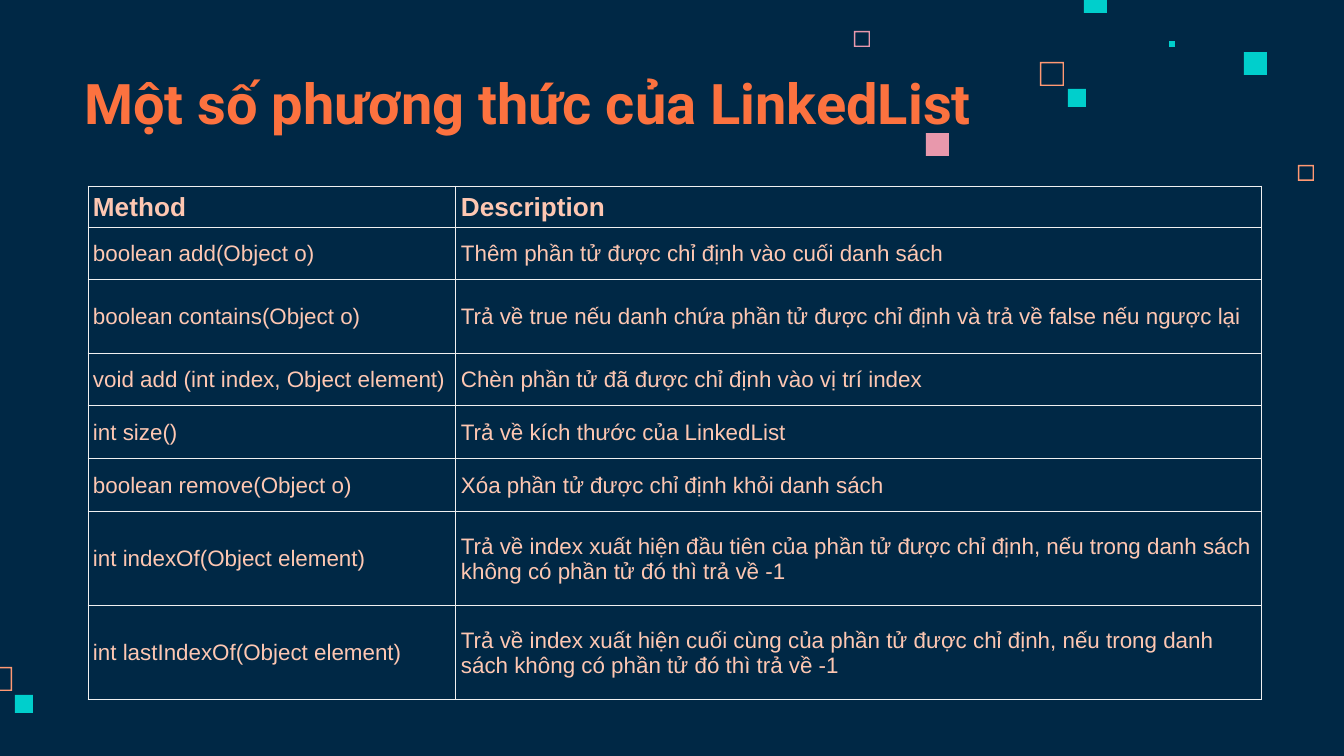
from lxml import etree
from pptx import Presentation
from pptx import util as u
from pptx.dml.color import RGBColor
from pptx.enum import shapes, text
from pptx.oxml.ns import qn

PX = u.Inches(10) / 1344


class Theme:
    navy = RGBColor.from_string("002845")
    orange = RGBColor.from_string("FC723F")
    peach = RGBColor.from_string("FEC7B2")
    apricot = RGBColor.from_string("FF9973")
    pink = RGBColor.from_string("E898AC")
    teal = RGBColor.from_string("00CFCC")
    grid = "F0F0F0"
    grid_width = u.Pt(0.6)
    title_font, body_font = "Roboto", "Arial"
    title_size, head_size, body_size = u.Pt(30), u.Pt(14), u.Pt(12)


def px(*lengths):
    return [u.Emu(round(length * PX)) for length in lengths]


def write(paragraph, words, font, size, color, bold):
    run = paragraph.add_run()
    run.text = words
    run.font.name, run.font.size, run.font.bold = font, size, bold
    run.font.color.rgb = color


deck = Presentation()
deck.slide_width, deck.slide_height = px(1344, 756)
slide = deck.slides.add_slide(deck.slide_layouts[6])
slide.background.fill.solid()
slide.background.fill.fore_color.rgb = Theme.navy

# Scattered squares: left, top, side, colour, hollow
confetti = [
    (1298, 165, 16, Theme.apricot, True),
    (854, 31, 16, Theme.pink, True),
    (1040, 62, 24, Theme.apricot, True),
    (1169, 41, 6, Theme.teal, False),
    (1084, -10, 23, Theme.teal, False),
    (1244, 52, 23, Theme.teal, False),
    (1068, 89, 18, Theme.teal, False),
    (926, 133, 23, Theme.pink, False),
    (-12, 667, 24, Theme.apricot, True),
    (15, 695, 18, Theme.teal, False),
]
for left, top, side, color, hollow in confetti:
    preset = shapes.MSO_SHAPE.FRAME if hollow else shapes.MSO_SHAPE.RECTANGLE
    square = slide.shapes.add_shape(preset, *px(left, top, side, side))
    if hollow:
        square.adjustments[0] = 1.4 / side
    square.shadow.inherit = False
    square.fill.solid()
    square.fill.fore_color.rgb = color
    square.line.fill.background()

title = slide.shapes.add_textbox(*px(71, 54, 1184, 95)).text_frame
title.word_wrap = True
title.vertical_anchor = text.MSO_ANCHOR.BOTTOM
title.margin_left = title.margin_right = title.margin_top = title.margin_bottom = u.Inches(0.1)
write(title.paragraphs[0], "Một số phương thức của LinkedList",
      Theme.title_font, Theme.title_size, Theme.orange, True)

# Row height, method, description
methods = [
    (42, "Method", "Description"),
    (52, "boolean add(Object o)", "Thêm phần tử được chỉ định vào cuối danh sách"),
    (74, "boolean contains(Object o)",
     "Trả về true nếu danh chứa phần tử được chỉ định và trả về false nếu ngược lại"),
    (52, "void add (int index, Object element)",
     "Chèn phần tử đã được chỉ định vào vị trí index"),
    (53, "int size()", "Trả về kích thước của LinkedList"),
    (53, "boolean remove(Object o)", "Xóa phần tử được chỉ định khỏi danh sách"),
    (94, "int indexOf(Object element)",
     "Trả về index xuất hiện đầu tiên của phần tử được chỉ định, "
     "nếu trong danh sách không có phần tử đó thì trả về -1"),
    (94, "int lastIndexOf(Object element)",
     "Trả về index xuất hiện cuối cùng của phần tử được chỉ định, "
     "nếu trong danh sách không có phần tử đó thì trả về -1"),
]
column_widths = px(368, 806)
table_height = sum(height for height, *_ in methods)
table = slide.shapes.add_table(
    len(methods), len(column_widths), *px(88, 186, 1174, table_height)).table
table.horz_banding = False
for column, width in zip(table.columns, column_widths):
    column.width = width

for row_index, (height, *entries) in enumerate(methods):
    table.rows[row_index].height = px(height)[0]
    heading = row_index == 0
    for column_index, entry in enumerate(entries):
        cell = table.cell(row_index, column_index)
        cell.vertical_anchor = text.MSO_ANCHOR.MIDDLE
        cell.margin_left = cell.margin_right = cell.margin_top = cell.margin_bottom = px(5)[0]
        write(cell.text_frame.paragraphs[0], entry, Theme.body_font,
              Theme.head_size if heading else Theme.body_size, Theme.peach, heading)
        properties = cell._tc.get_or_add_tcPr()
        for edge in ("a:lnL", "a:lnR", "a:lnT", "a:lnB"):
            border = etree.SubElement(properties, qn(edge), w=str(Theme.grid_width))
            solid = etree.SubElement(border, qn("a:solidFill"))
            etree.SubElement(solid, qn("a:srgbClr"), val=Theme.grid)
        cell.fill.background()

deck.save("out.pptx")
